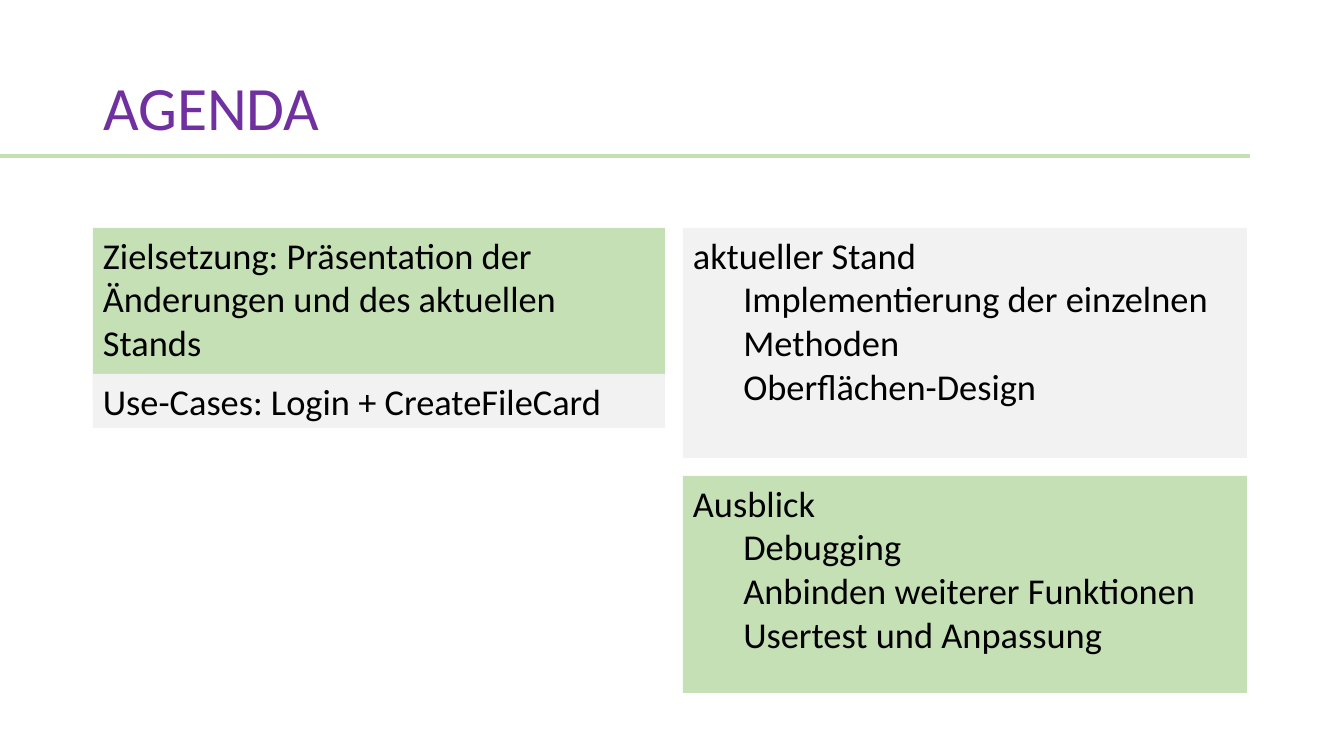
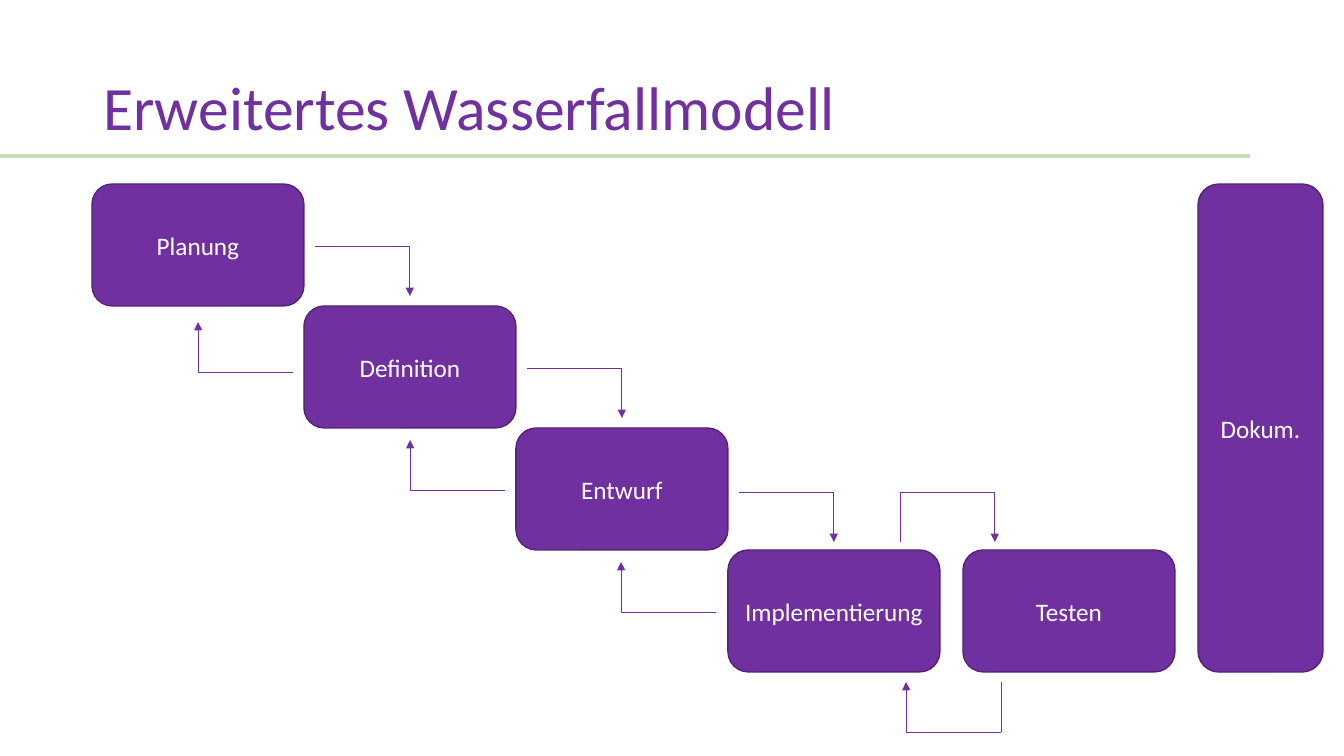
from dataclasses import dataclass
from typing import NamedTuple

from lxml.etree import SubElement
from pptx import Presentation
from pptx.dml.color import RGBColor as RGB
from pptx.enum.shapes import MSO_CONNECTOR as Link, MSO_SHAPE as Form
from pptx.enum.text import MSO_ANCHOR as Anchor, MSO_AUTO_SIZE as Fit, PP_ALIGN as Align
from pptx.oxml.ns import qn
from pptx.presentation import Presentation as Deck
from pptx.shapes.autoshape import Shape
from pptx.slide import Slide
from pptx.text.text import _Paragraph as Para
from pptx.util import Emu, Inches, Pt

SCALE = 914400 / 100.8


@dataclass(frozen=True)
class Theme:
    """Colours and type sizes of the deck."""
    font: str = "Calibri"
    violet: RGB = RGB(0x70, 0x30, 0xA0)
    edge: RGB = RGB(0x53, 0x24, 0x76)
    green: RGB = RGB(0xC5, 0xE0, 0xB4)
    gray: RGB = RGB(0xF2, 0xF2, 0xF2)
    black: RGB = RGB(0, 0, 0)
    white: RGB = RGB(255, 255, 255)
    title: int = 44
    body: int = 26
    label: int = 18


THEME = Theme()


class Box(NamedTuple):
    """Left, top, width and height in pixels."""
    x: int
    y: int
    w: int
    h: int


class Panel(NamedTuple):
    """An agenda block: a heading and its indented points."""
    box: Box
    fill: RGB
    head: str
    points: tuple[str, ...] = ()


class Phase(NamedTuple):
    """A step of the model."""
    box: Box
    name: str


class Bend(NamedTuple):
    """Corner of the box around a bent arrow; back turns it by 180 degrees."""
    x: int
    y: int
    back: bool = False


BAR = Box(0, 154, 1250, 4)
TITLE = Box(93, 38, 1159, 146)

PANELS = (
    Panel(Box(93, 228, 572, 173), THEME.green,
          "Zielsetzung: Präsentation der Änderungen und des aktuellen Stands"),
    Panel(Box(93, 374, 572, 54), THEME.gray, "Use-Cases: Login + CreateFileCard"),
    Panel(Box(683, 228, 564, 230), THEME.gray, "aktueller Stand",
          ("Implementierung der einzelnen Methoden", "Oberflächen-Design")),
    Panel(Box(683, 476, 564, 217), THEME.green, "Ausblick",
          ("Debugging", "Anbinden weiterer Funktionen", "Usertest und Anpassung")),
)

LEFT, TOP, WIDE, HIGH = 92, 184, 212, 122
STAIRS = ("Planung", "Definition", "Entwurf", "Implementierung")
PHASES = (
    *(Phase(Box(LEFT + i * WIDE, TOP + i * HIGH, WIDE, HIGH), name)
      for i, name in enumerate(STAIRS)),
    Phase(Box(963, TOP + 3 * HIGH, WIDE, HIGH), "Testen"),
    Phase(Box(1198, TOP, 125, 4 * HIGH), "Dokum."),
)

RUN, DROP = 95, 50
BENDS = (
    Bend(315, 246), Bend(527, 368), Bend(739, 492),
    Bend(198, 322, True), Bend(410, 440, True), Bend(621, 562, True),
    Bend(900, 492), Bend(906, 682, True),
)
STUBS = ((900, 492), (906 + RUN, 682))


def px(n: float) -> Emu:
    """Turn pixels into EMU."""
    return Emu(round(n * SCALE))


def style(para: Para, size: int, tint: RGB) -> None:
    """Set the font of a paragraph."""
    font = para.font
    font.name, font.size = THEME.font, Pt(size)
    font.color.rgb = tint


def block(slide: Slide, form: Form, box: Box, fill: RGB) -> Shape:
    """Draw a flat shape without outline."""
    shape = slide.shapes.add_shape(form, *map(px, box))
    shape.shadow.inherit = False
    shape.fill.solid()
    shape.fill.fore_color.rgb = fill
    shape.line.fill.background()
    return shape


def page(deck: Deck, text: str) -> Slide:
    """Add a slide with the green bar and its title."""
    slide = deck.slides.add_slide(deck.slide_layouts[5])
    block(slide, Form.RECTANGLE, BAR, THEME.green)
    title = slide.shapes.title
    title.left, title.top, title.width, title.height = map(px, TITLE)
    frame = title.text_frame
    frame.text = text
    frame.auto_size, frame.vertical_anchor = Fit.NONE, Anchor.MIDDLE
    para = frame.paragraphs[0]
    para.alignment, para.line_spacing = Align.LEFT, 0.9
    style(para, THEME.title, THEME.violet)
    return slide


def panel(slide: Slide, item: Panel) -> None:
    """Draw an agenda block."""
    frame = block(slide, Form.RECTANGLE, item.box, item.fill).text_frame
    frame.text = "\n".join((item.head, *item.points))
    frame.word_wrap, frame.vertical_anchor = True, Anchor.TOP
    for i, para in enumerate(frame.paragraphs):
        para.alignment = Align.LEFT
        style(para, THEME.body, THEME.black)
        if i:
            para.level = 1
            para._p.get_or_add_pPr().set("marL", str(Inches(0.5)))


def phase(slide: Slide, item: Phase) -> None:
    """Draw a rounded step with its name."""
    shape = block(slide, Form.ROUNDED_RECTANGLE, item.box, THEME.violet)
    shape.line.color.rgb, shape.line.width = THEME.edge, Pt(1)
    frame = shape.text_frame
    frame.text = item.name
    frame.word_wrap, frame.vertical_anchor = True, Anchor.MIDDLE
    para = frame.paragraphs[0]
    para.alignment = Align.CENTER
    style(para, THEME.label, THEME.white)


def wire(slide: Slide, kind: Link, x: int, y: int, w: int, h: int):
    """Draw a thin violet connector and return its properties element."""
    link = slide.shapes.add_connector(kind, px(x), px(y), px(x + w), px(y + h))
    link.line.color.rgb, link.line.width = THEME.violet, Pt(0.5)
    props = link._element.spPr
    SubElement(props, qn("a:effectLst"))
    return props


def arrow(slide: Slide, bend: Bend) -> None:
    """Draw a bent arrow that turns at its far end."""
    props = wire(slide, Link.ELBOW, bend.x, bend.y, RUN, DROP)
    SubElement(props.find(qn("a:ln")), qn("a:tailEnd"), type="triangle")
    guides = props.find(qn("a:prstGeom")).get_or_add_avLst()
    SubElement(guides, qn("a:gd"), name="adj1", fmla="val 99800")
    if bend.back:
        props.find(qn("a:xfrm")).set("rot", str(180 * 60000))


def main() -> None:
    """Build and save the deck."""
    deck = Presentation()
    deck.slide_width, deck.slide_height = px(1344), px(756)

    agenda = page(deck, "AGENDA")
    for item in PANELS:
        panel(agenda, item)

    model = page(deck, "Erweitertes Wasserfallmodell")
    for step in PHASES:
        phase(model, step)
    for bend in BENDS:
        arrow(model, bend)
    for x, y in STUBS:
        wire(model, Link.STRAIGHT, x, y, 0, DROP)

    deck.save("out.pptx")


main()
